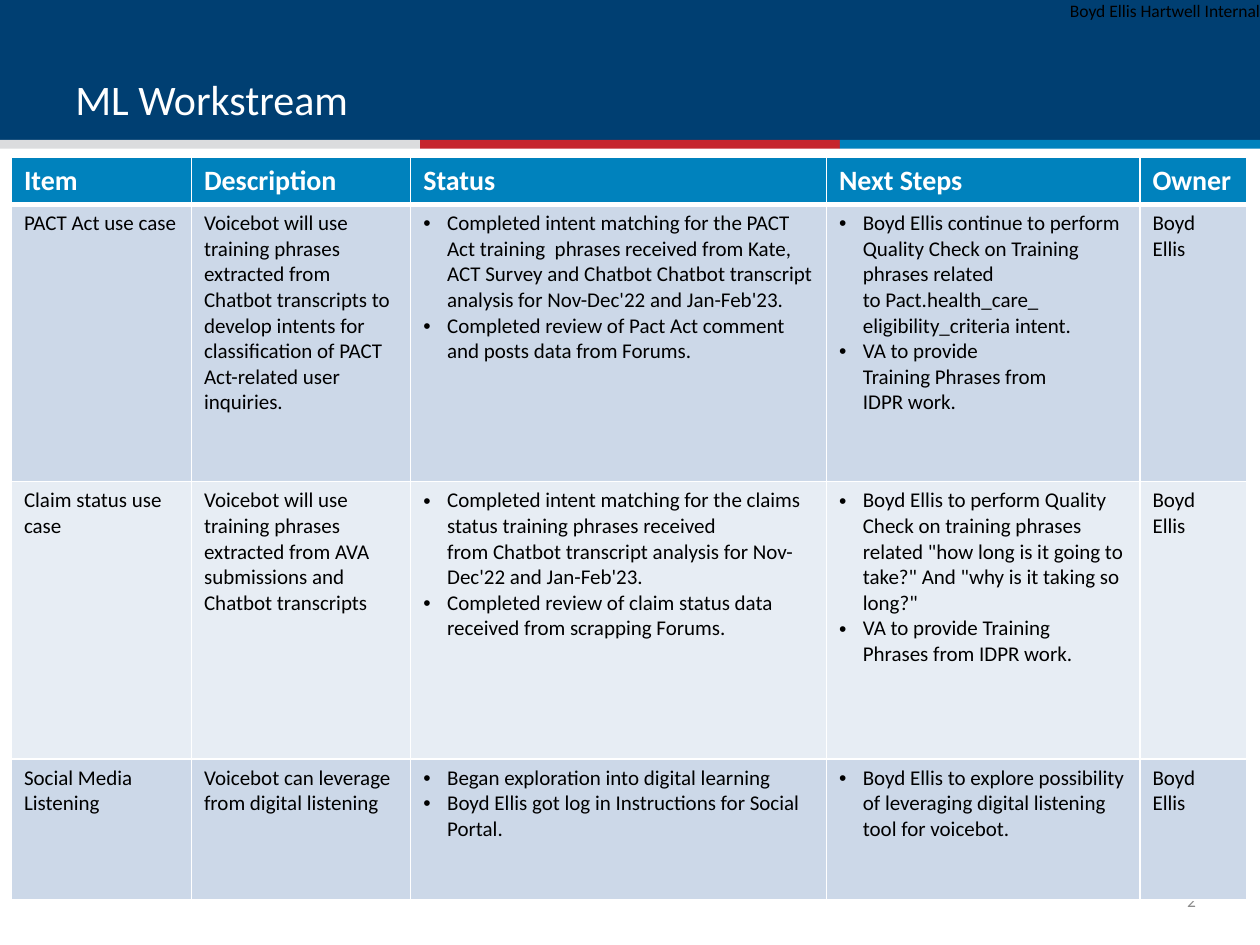
from pptx import Presentation
from pptx.dml.color import RGBColor
from pptx.enum.shapes import MSO_SHAPE as Shape
from pptx.enum.text import MSO_ANCHOR as Anchor, PP_ALIGN as Align
from pptx.oxml.ns import qn
from pptx.util import Cm, Pt
from lxml.etree import SubElement

NAVY = RGBColor(0x00, 0x3F, 0x72)
SILVER = RGBColor(0xDB, 0xDC, 0xDE)
RED = RGBColor(0xC6, 0x26, 0x2D)
BLUE = RGBColor(0x00, 0x82, 0xBD)
BAND_DARK = RGBColor(0xCC, 0xD8, 0xE8)
BAND_LIGHT = RGBColor(0xE7, 0xED, 0xF4)
WHITE = RGBColor(0xFF, 0xFF, 0xFF)
BLACK = RGBColor(0x00, 0x00, 0x00)
GRAY = RGBColor(0x8C, 0x8C, 0x8C)
FONT = "Calibri"

# Content: each cell is a list of paragraphs
OWNER = ["Boyd", "Ellis"]
HEADERS = ["Item", "Description", "Status", "Next Steps", "Owner"]
ITEMS = [
    [
        ["PACT Act use case"],
        ["Voicebot will use training phrases extracted from Chatbot transcripts to "
         "develop intents for classification of PACT Act-related user inquiries."],
        ["Completed intent matching for the PACT Act training\u00a0 phrases received from "
         "Kate, ACT Survey and Chatbot\u00a0Chatbot transcript analysis for "
         "Nov-Dec'22\u00a0and Jan-Feb'23.",
         "Completed review of Pact Act comment and posts data from Forums."],
        ["Boyd Ellis continue to perform Quality Check on Training phrases related "
         "to\u00a0Pact.health_care_ eligibility_criteria intent.",
         "VA to provide Training\u00a0Phrases\u00a0from IDPR\u00a0work."],
        OWNER,
    ],
    [
        ["Claim status use case"],
        ["Voicebot will use training phrases extracted from AVA submissions and "
         "Chatbot transcripts"],
        ["Completed intent matching for the claims status\u00a0training phrases received "
         "from\u00a0Chatbot transcript analysis for Nov-Dec'22\u00a0and Jan-Feb'23.",
         "Completed review\u00a0of claim\u00a0status data received "
         "from\u00a0scrapping Forums."],
        ["Boyd Ellis to perform Quality Check on training\u00a0phrases related "
         "\"how\u00a0long is it going to take?\" And \"why is it taking so long?\"",
         "VA to provide Training Phrases\u00a0from IDPR work."],
        OWNER,
    ],
    [
        ["Social Media Listening"],
        ["Voicebot can leverage from digital listening"],
        ["Began exploration into digital learning",
         "Boyd Ellis got log in Instructions for Social Portal."],
        ["Boyd Ellis to explore possibility of\u00a0leveraging digital listening tool "
         "for\u00a0voicebot."],
        OWNER,
    ],
]
COLUMN_WIDTHS = [3.63, 4.42, 8.38, 6.32, 2.16]
ROW_HEIGHTS = [0.94, 5.59, 5.59, 2.84]
BULLET_COLUMNS = {HEADERS.index("Status"), HEADERS.index("Next Steps")}
INDENT = Cm(0.48)

deck = Presentation()
deck.slide_width, deck.slide_height = Cm(25.4), Cm(19.05)
page = deck.slides.add_slide(deck.slide_layouts[6])


def style(para, size, color, bold=False):
    for span in para.runs:
        span.font.name, span.font.size = FONT, Pt(size)
        span.font.color.rgb, span.font.bold = color, bold


def add_bar(left, top, width, height, color):
    bar = page.shapes.add_shape(Shape.RECTANGLE, Cm(left), Cm(top), Cm(width), Cm(height))
    bar.shadow.inherit = False
    bar.fill.solid()
    bar.fill.fore_color.rgb = color
    bar.line.fill.background()


def add_text(text, left, top, width, height, size, color, anchor=Anchor.TOP,
             align=Align.LEFT, inset=True, wrap=True):
    box = page.shapes.add_textbox(Cm(left), Cm(top), Cm(width), Cm(height))
    frame = box.text_frame
    frame.word_wrap, frame.vertical_anchor = wrap, anchor
    if not inset:
        frame.margin_left = frame.margin_right = frame.margin_top = frame.margin_bottom = 0
    frame.text = text
    frame.paragraphs[0].alignment = align
    style(frame.paragraphs[0], size, color)


def add_border(cell, side, points):
    line = SubElement(cell._tc.get_or_add_tcPr(), qn(f"a:ln{side}"), w=str(Pt(points)))
    fill = SubElement(line, qn("a:solidFill"))
    SubElement(fill, qn("a:srgbClr"), val=str(WHITE))


def add_bullet(para):
    properties = para._p.get_or_add_pPr()
    properties.set("marL", str(INDENT))
    properties.set("indent", str(-INDENT))
    SubElement(properties, qn("a:buFont"), typeface="Arial")
    SubElement(properties, qn("a:buChar"), char="•")


# Header band with a three-colour stripe
add_bar(0, 0, 25.4, 2.9, NAVY)
stripe_width = 25.4 / 3
for index, color in enumerate([SILVER, RED, BLUE]):
    add_bar(index * stripe_width, 2.82, stripe_width, 0.18, color)

# Marking, title and page number
add_text("Boyd Ellis Hartwell Internal", 21.28, 0, 4.12, 0.43, 10, BLACK,
         align=Align.RIGHT, inset=False, wrap=False)
add_text("ML Workstream", 1.27, 0.36, 22.86, 2.26, 24, WHITE, anchor=Anchor.BOTTOM)
add_text("2", 23.42, 17.65, 0.69, 1.02, 10, GRAY, anchor=Anchor.MIDDLE,
         align=Align.RIGHT, inset=False)

# Workstream table
rows = [[[header] for header in HEADERS]] + ITEMS
table = page.shapes.add_table(len(rows), len(HEADERS), Cm(0.23), Cm(3.18),
                              Cm(sum(COLUMN_WIDTHS)), Cm(sum(ROW_HEIGHTS))).table
table.horz_banding = False
for column, width in zip(table.columns, COLUMN_WIDTHS):
    column.width = Cm(width)
for row, height in zip(table.rows, ROW_HEIGHTS):
    row.height = Cm(height)

for row_index, row in enumerate(rows):
    is_header = row_index == 0
    band = BLUE if is_header else BAND_DARK if row_index % 2 else BAND_LIGHT
    size, color = (16, WHITE) if is_header else (12, BLACK)
    borders = {"L": 1, "R": 1, "T": 3 if row_index == 1 else 1, "B": 3 if is_header else 1}
    for column_index, lines in enumerate(row):
        cell = table.cell(row_index, column_index)
        for side, points in borders.items():
            add_border(cell, side, points)
        cell.fill.solid()
        cell.fill.fore_color.rgb = band
        cell.text_frame.text = "\n".join(lines)
        for para in cell.text_frame.paragraphs:
            style(para, size, color, is_header)
            if not is_header and column_index in BULLET_COLUMNS:
                add_bullet(para)

deck.save("out.pptx")
